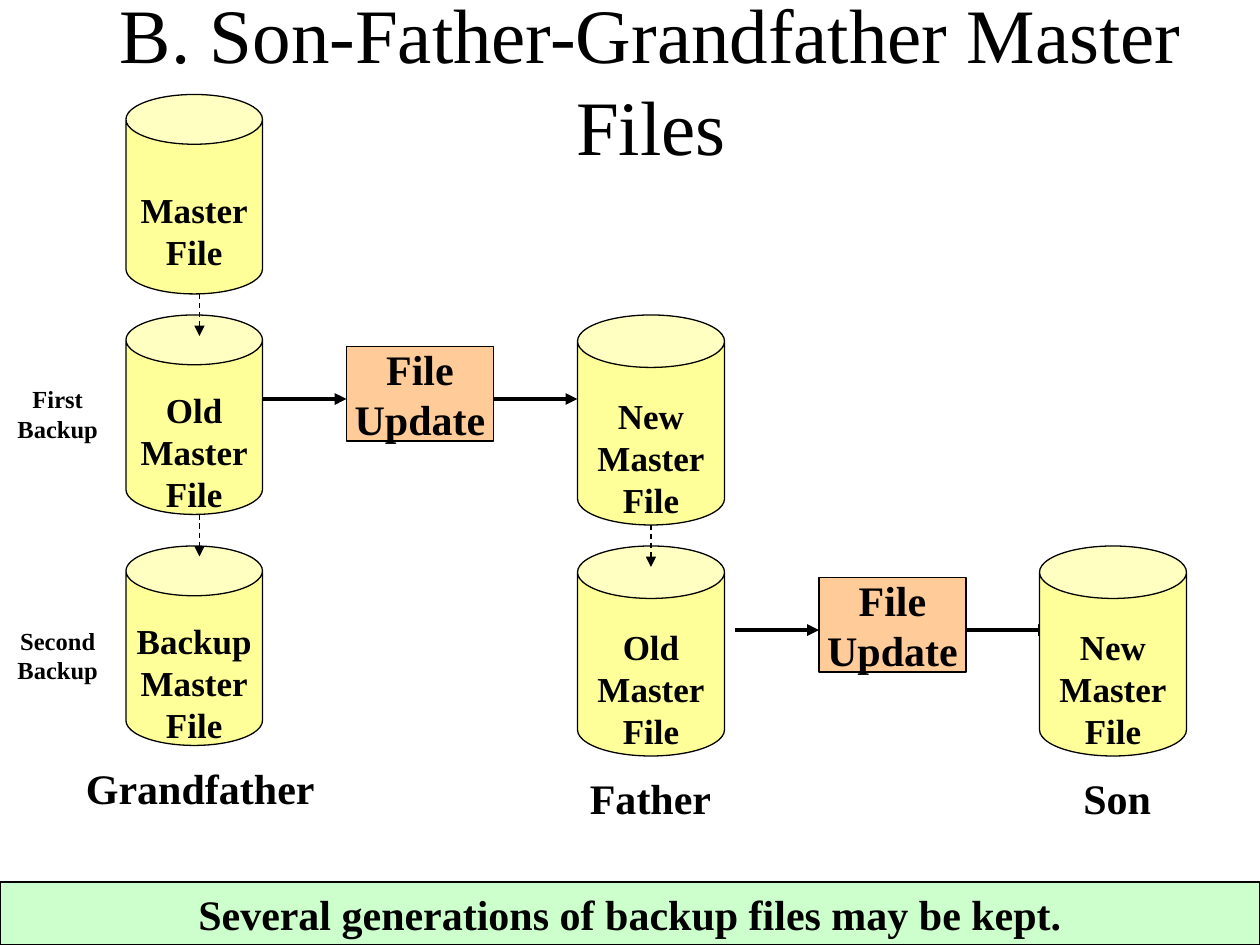
from lxml import etree
from pptx import Presentation
from pptx.dml.color import RGBColor
from pptx.enum.dml import MSO_LINE
from pptx.enum.shapes import MSO_CONNECTOR, MSO_SHAPE
from pptx.enum.text import MSO_ANCHOR, MSO_AUTO_SIZE, PP_ALIGN
from pptx.oxml.ns import qn
from pptx.util import Pt

CAN = MSO_SHAPE.CAN
RECTANGLE = MSO_SHAPE.RECTANGLE
STRAIGHT = MSO_CONNECTOR.STRAIGHT
DASH = MSO_LINE.DASH
CENTER = PP_ALIGN.CENTER
LEFT = PP_ALIGN.LEFT
TOP = MSO_ANCHOR.TOP
MIDDLE = MSO_ANCHOR.MIDDLE
NO_AUTOFIT = MSO_AUTO_SIZE.NONE

BLACK = "000000"
YELLOW = "FFFF99"
ORANGE = "FFCC99"
GREEN = "CCFFCC"


def color(value):
    return RGBColor.from_string(value)


def write_text(shape, text, size=24, bold=True, align=CENTER, anchor=MIDDLE,
               wrap=False, margin_top=3.6):
    frame = shape.text_frame
    frame.text = text
    frame.auto_size = NO_AUTOFIT
    frame.word_wrap = wrap
    frame.vertical_anchor = anchor
    frame.margin_top = Pt(margin_top)
    for paragraph in frame.paragraphs:
        paragraph.alignment = align
        paragraph.font.name = "Times New Roman"
        paragraph.font.size = Pt(size)
        paragraph.font.bold = bold
        paragraph.font.color.rgb = color(BLACK)


presentation = Presentation()
presentation.slide_width = Pt(720)
presentation.slide_height = Pt(540)
slide = presentation.slides.add_slide(presentation.slide_layouts[5])

title = slide.shapes.title
title.left, title.top, title.width, title.height = Pt(24), Pt(0), Pt(696), Pt(90)
write_text(title, "B. Son-Father-Grandfather Master Files", size=44, bold=False, wrap=True)

grandfather_size = (78, 114, 0.365)
generation_size = (84, 120, 0.357)
cans = [
    ("Master\nFile", 72, 54, grandfather_size),
    ("Old\nMaster\nFile", 72, 180, grandfather_size),
    ("Backup\nMaster\nFile", 72, 312, grandfather_size),
    ("New\nMaster\nFile", 330, 180, generation_size),
    ("Old\nMaster\nFile", 330, 312, generation_size),
    ("New\nMaster\nFile", 594, 312, generation_size),
]
boxes = [
    ("File\nUpdate", 198, 198, 84, 54, ORANGE),
    ("File\nUpdate", 468, 330, 84, 54, ORANGE),
    ("Several generations of backup files may be kept.", 0, 504, 720, 36, GREEN),
]
flow_arrows = [(150, 228, 198, 228), (282, 228, 330, 228),
               (420, 360, 468, 360), (552, 360, 600, 360)]
backup_arrows = [(114, 168, 114, 192), (114, 294, 114, 318), (372, 300, 372, 324)]

arrows = []
for ends in flow_arrows + backup_arrows:
    arrow = slide.shapes.add_connector(STRAIGHT, *[Pt(value) for value in ends])
    arrow.line.color.rgb = color(BLACK)
    if ends in backup_arrows:
        arrow.line.width = Pt(0.75)
        arrow.line.dash_style = DASH
    else:
        arrow.line.width = Pt(2.25)
    properties = arrow.line._get_or_add_ln()
    etree.SubElement(properties, qn("a:tailEnd"), type="triangle")
    etree.SubElement(arrow._element.spPr, qn("a:effectLst"))
    arrows.append(arrow)

filled_shapes = []
for text, left, top, (width, height, rim) in cans:
    can = slide.shapes.add_shape(CAN, Pt(left), Pt(top), Pt(width), Pt(height))
    can.adjustments[0] = rim
    write_text(can, text, size=20, margin_top=31)
    filled_shapes.append((can, YELLOW))

for text, left, top, width, height, fill in boxes:
    box = slide.shapes.add_shape(RECTANGLE, Pt(left), Pt(top), Pt(width), Pt(height))
    write_text(box, text)
    filled_shapes.append((box, fill))

for shape, fill in filled_shapes:
    shape.shadow.inherit = False
    shape.fill.solid()
    shape.fill.fore_color.rgb = color(fill)
    shape.line.color.rgb = color(BLACK)
    shape.line.width = Pt(0.75)

for arrow in arrows[len(flow_arrows):]:
    slide.shapes._spTree.append(arrow._element)

labels = [
    ("Grandfather", 42, 432, 162, 36, 24, LEFT),
    ("Father", 330, 438, 102, 36, 24, LEFT),
    ("Son", 612, 438, 66, 36, 24, LEFT),
    ("First Backup", 0, 216, 66, 41, 14, CENTER),
    ("Second Backup", 0, 354, 66, 41, 14, CENTER),
]
for text, left, top, width, height, size, align in labels:
    label = slide.shapes.add_textbox(Pt(left), Pt(top), Pt(width), Pt(height))
    write_text(label, text, size=size, align=align, anchor=TOP, wrap=True)

presentation.save("out.pptx")
